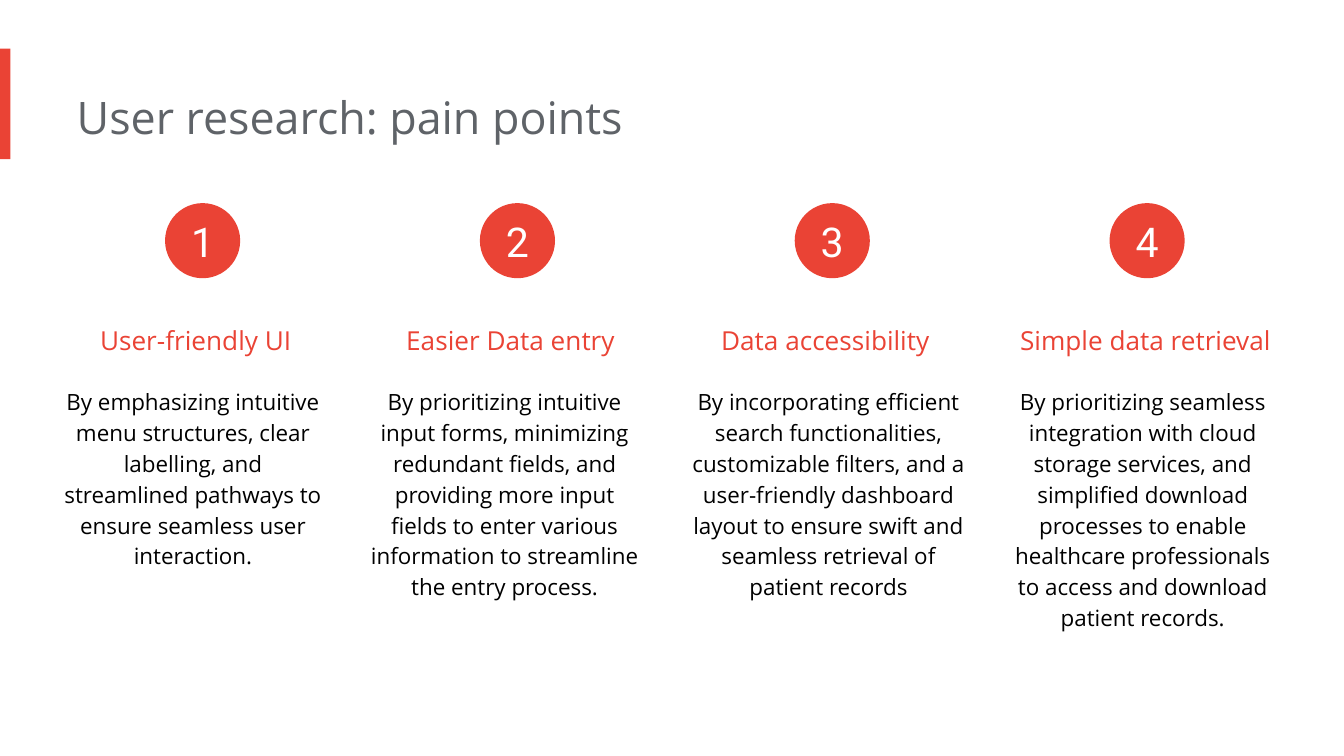
from pptx import Presentation
from pptx.dml.color import RGBColor
from pptx.enum.shapes import MSO_SHAPE
from pptx.enum.text import MSO_ANCHOR, PP_ALIGN
from pptx.util import Cm, Pt

RED = RGBColor(0xEA, 0x43, 0x35)
GREY = RGBColor(0x5F, 0x63, 0x68)
BLACK = RGBColor(0x00, 0x00, 0x00)
WHITE = RGBColor(0xFF, 0xFF, 0xFF)

COLUMN_PITCH = 5.95

# Heading, heading width, body left, body width, body height, body text
PAIN_POINTS = [
    ("User-friendly UI", 5.21, 1.12, 5.31, 4.06,
     "By emphasizing intuitive menu structures, clear labelling, and "
     "streamlined pathways to ensure seamless user interaction."),
    ("Easier Data entry", 5.21, 6.96, 5.41, 4.65,
     "By prioritizing intuitive input forms, minimizing redundant fields, "
     "and providing more input fields to enter various information to "
     "streamline the entry process."),
    ("Data accessibility", 5.21, 13.03, 5.51, 4.65,
     "By incorporating efficient search functionalities, customizable "
     "filters, and a user-friendly dashboard layout to ensure swift and "
     "seamless retrieval of patient records"),
    ("Simple data retrieval", 5.41, 18.97, 5.51, 5.23,
     "By prioritizing seamless integration with cloud storage services, and "
     "simplified download processes to enable healthcare professionals to "
     "access and download patient records."),
]

prs = Presentation()
prs.slide_width, prs.slide_height = Cm(25.4), Cm(14.29)
slide = prs.slides.add_slide(prs.slide_layouts[6])


def add_text(left, top, width, height, text, size, color,
             align=PP_ALIGN.CENTER, spacing=1.0):
    frame = slide.shapes.add_textbox(
        Cm(left), Cm(top), Cm(width), Cm(height)).text_frame
    frame.word_wrap = True
    frame.margin_left = 0
    frame.margin_top = frame.margin_right = frame.margin_bottom = Cm(0.25)
    paragraph = frame.paragraphs[0]
    paragraph.alignment = align
    paragraph.line_spacing = spacing
    write_run(paragraph, text, "Open Sans", size, color)


def write_run(paragraph, text, font, size, color):
    run = paragraph.add_run()
    run.text = text
    run.font.name = font
    run.font.size = Pt(size)
    run.font.color.rgb = color


# Accent bar and title
accent = slide.shapes.add_shape(
    MSO_SHAPE.RECTANGLE, 0, Cm(0.92), Cm(0.2), Cm(2.09))
accent.shadow.inherit = False
accent.fill.solid()
accent.fill.fore_color.rgb = RED
accent.line.fill.background()
add_text(1.45, 1.45, 17.09, 1.55, "User research: pain points", 24, GREY,
         PP_ALIGN.LEFT)

# Pain points: numbered circle, heading and body in each column
for column, (heading, heading_width, body_left, body_width, body_height,
             body) in enumerate(PAIN_POINTS):
    offset = column * COLUMN_PITCH
    add_text(1.22 + offset, 5.59, heading_width, 1.42, heading, 14, RED,
             spacing=1.5)
    add_text(body_left, 7.01, body_width, body_height, body, 12, BLACK,
             spacing=1.15)

    number = slide.shapes.add_shape(
        MSO_SHAPE.OVAL, Cm(3.12 + offset), Cm(3.84), Cm(1.42), Cm(1.42))
    number.shadow.inherit = False
    number.fill.solid()
    number.fill.fore_color.rgb = RED
    number.line.fill.background()
    frame = number.text_frame
    frame.margin_left = frame.margin_right = 0
    frame.margin_top = frame.margin_bottom = 0
    frame.vertical_anchor = MSO_ANCHOR.MIDDLE
    frame.paragraphs[0].alignment = PP_ALIGN.CENTER
    write_run(frame.paragraphs[0], str(column + 1), "Roboto", 22, WHITE)

prs.save("out.pptx")
